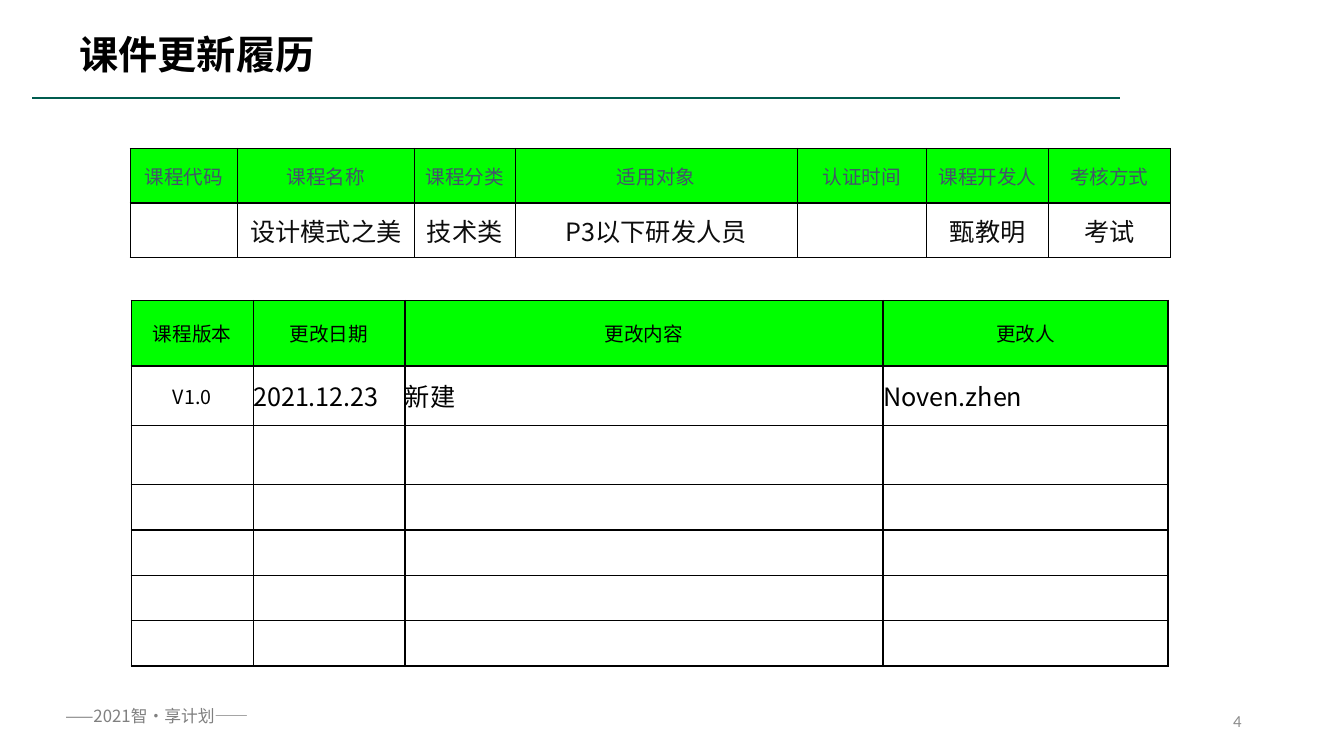
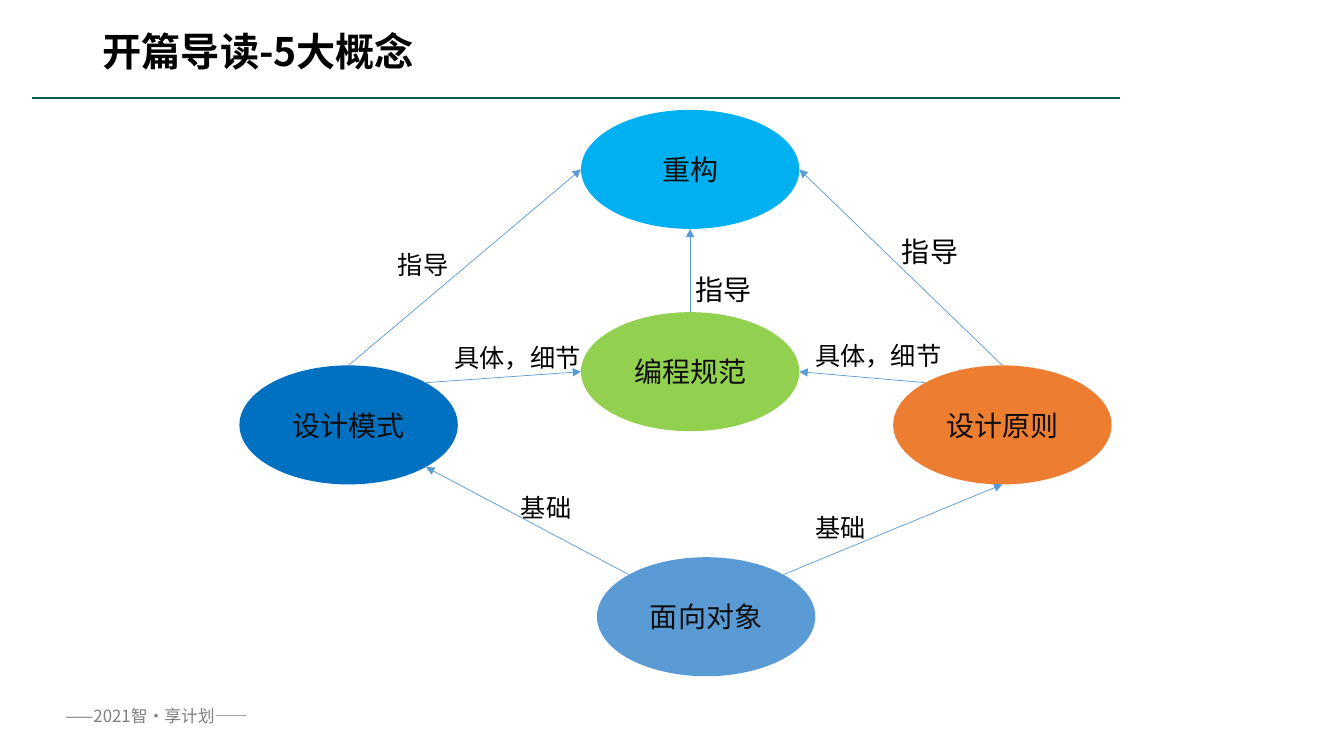
from dataclasses import dataclass
from lxml.etree import SubElement
from pptx import Presentation
from pptx.dml.color import RGBColor
from pptx.enum.shapes import MSO_CONNECTOR, MSO_SHAPE
from pptx.enum.text import MSO_ANCHOR, PP_ALIGN
from pptx.oxml import parse_xml
from pptx.oxml.ns import nsdecls, qn
from pptx.util import Pt


@dataclass(frozen=True)
class Theme:
    # Fonts
    cjk: str = "Noto Sans CJK SC"
    latin: str = "Arial"
    number: str = "Calibri"
    # Type sizes
    title: float = 28
    node: float = 20
    body: float = 18
    head: float = 14
    small: float = 12
    # Colours
    black: str = "000000"
    ink: str = "0D0D0D"
    slate: str = "44546A"
    footer: str = "808080"
    page: str = "8C8C8C"
    rule: str = "005C4F"
    header: str = "00FF00"
    blue: str = "5B9BD5"
    navy: str = "0070C0"
    green: str = "92D050"
    orange: str = "ED7D31"
    sky: str = "00B0F0"


T = Theme()
NODE_W, NODE_H = 156, 85
# Connection sites of an ellipse: index, then x and y as shares of the half axes
SITES = {"top": (0, 0, -1), "left": (2, -1, 0), "bottom": (4, 0, 1), "right": (6, 1, 0),
         "top left": (1, -0.71, -0.71), "bottom right": (5, 0.71, 0.71),
         "top right": (7, 0.71, -0.71)}


def rgb(color):
    return RGBColor.from_string(color)


# Text
def write(tf, text, size, color=T.black, font=T.cjk, bold=False,
          align=PP_ALIGN.LEFT, spacing=None):
    p = tf.paragraphs[0]
    p.text = text
    p.alignment = align
    p.line_spacing = spacing
    f = p.font
    f.size, f.name, f.bold = Pt(size), font, bold
    f.color.rgb = rgb(color)
    defaults = p._p.pPr.find(qn("a:defRPr"))
    SubElement(defaults, qn("a:ea")).set("typeface", T.cjk)


def add_text(slide, box, text, size, wrap=True, anchor=MSO_ANCHOR.TOP, **style):
    tf = slide.shapes.add_textbox(*map(Pt, box)).text_frame
    tf.word_wrap = wrap
    tf.vertical_anchor = anchor
    write(tf, text, size, **style)


# Lines
def add_line(slide, start, end, color, width):
    c = slide.shapes.add_connector(MSO_CONNECTOR.STRAIGHT, *map(Pt, (*start, *end)))
    c.line.color.rgb = rgb(color)
    c.line.width = Pt(width)
    SubElement(c._element.spPr, qn("a:effectLst"))
    return c


def site_point(sp, site):
    _, dx, dy = SITES[site]
    return (sp.left.pt + NODE_W / 2 * (1 + dx), sp.top.pt + NODE_H / 2 * (1 + dy))


def add_arrow(slide, source, source_site, target, target_site):
    c = add_line(slide, site_point(source, source_site),
                 site_point(target, target_site), T.blue, 0.5)
    SubElement(c.line._get_or_add_ln(), qn("a:tailEnd")).set("type", "triangle")
    links = c._element.nvCxnSpPr.cNvCxnSpPr
    for tag, sp, site in (("a:stCxn", source, source_site), ("a:endCxn", target, target_site)):
        link = SubElement(links, qn(tag))
        link.set("id", str(sp.shape_id))
        link.set("idx", str(SITES[site][0]))


# Diagram parts
def add_node(slide, left, top, text, color):
    sp = slide.shapes.add_shape(MSO_SHAPE.OVAL, *map(Pt, (left, top, NODE_W, NODE_H)))
    sp.shadow.inherit = False
    sp.fill.solid()
    sp.fill.fore_color.rgb = rgb(color)
    sp.line.fill.background()
    sp.text_frame.vertical_anchor = MSO_ANCHOR.MIDDLE
    write(sp.text_frame, text, T.node, T.ink, align=PP_ALIGN.CENTER)
    return sp


def add_label(slide, left, top, text, size=T.body):
    box = (left, top, len(text) * size + 14.4, size * 1.95)
    add_text(slide, box, text, size, wrap=False, font=T.latin, spacing=1.3)


# Tables
def add_borders(cell):
    tcPr = cell._tc.get_or_add_tcPr()
    for i, side in enumerate("LRTB"):
        tcPr.insert(i, parse_xml(
            f'<a:ln{side} {nsdecls("a")} w="{Pt(1)}"><a:solidFill>'
            f'<a:srgbClr val="{T.black}"/></a:solidFill></a:ln{side}>'))


def add_grid(slide, left, top, widths, heights, rows, style):
    """Fill a table; style(row, column) gives the text settings of a cell."""
    size = (sum(widths), sum(heights))
    table = slide.shapes.add_table(len(heights), len(widths),
                                   *map(Pt, (left, top, *size))).table
    table.first_row = table.horz_banding = False
    for col, w in zip(table.columns, widths):
        col.width = Pt(w)
    for r, h in enumerate(heights):
        table.rows[r].height = Pt(h)
        for c in range(len(widths)):
            cell = table.cell(r, c)
            cell.margin_left = cell.margin_right = cell.margin_top = cell.margin_bottom = 0
            cell.vertical_anchor = MSO_ANCHOR.MIDDLE
            if r == 0:
                cell.fill.solid()
                cell.fill.fore_color.rgb = rgb(T.header)
            else:
                cell.fill.background()
            add_borders(cell)
            if r < len(rows) and rows[r][c]:
                write(cell.text_frame, rows[r][c], **style(r, c))


def course_style(r, c):
    size, color = (T.head, T.slate) if r == 0 else (T.body, T.ink)
    return dict(size=size, color=color, align=PP_ALIGN.CENTER)


def history_style(r, c):
    if r == 0 or c == 0:
        return dict(size=T.head, align=PP_ALIGN.CENTER)
    return dict(size=T.body)


# Slides
def add_slide(prs, title, title_box):
    slide = prs.slides.add_slide(prs.slide_layouts[6])
    add_line(slide, (23, 70), (800, 70), T.rule, 2)
    add_text(slide, (39.6, 500.4, 147, 21.6), "——2021智·享计划——", T.small, color=T.footer)
    add_text(slide, title_box, title, T.title, anchor=MSO_ANCHOR.MIDDLE,
             bold=True, spacing=0.9)
    return slide


def history_slide(prs):
    slide = add_slide(prs, "课件更新履历", (49.7, 13.7, 828, 54))
    add_text(slide, (678, 500.4, 216, 28.8), "4", T.small, anchor=MSO_ANCHOR.MIDDLE,
             color=T.page, font=T.number, align=PP_ALIGN.RIGHT)
    add_grid(slide, 93.8, 214.6, (87, 108.5, 341.5, 203.5), (46.8, 42.4, 42.4, *[32.4] * 4),
             [("课程版本", "更改日期", "更改内容", "更改人"),
              ("V1.0", "2021.12.23", "新建", "Noven.zhen")], history_style)
    add_grid(slide, 93, 106, (76.5, 126.5, 72, 201.5, 92.5, 87, 87), (39, 39),
             [("课程代码", "课程名称", "课程分类", "适用对象", "认证时间", "课程开发人", "考核方式"),
              ("", "设计模式之美", "技术类", "P3以下研发人员", "", "甄教明", "考试")], course_style)


def concepts_slide(prs):
    slide = add_slide(prs, "开篇导读-5大概念", (66.2, 10.8, 639.4, 55.4))
    objects = add_node(slide, 426.4, 398, "面向对象", T.blue)
    patterns = add_node(slide, 171, 261, "设计模式", T.navy)
    coding = add_node(slide, 415, 223, "编程规范", T.green)
    principles = add_node(slide, 638, 261, "设计原则", T.orange)
    refactoring = add_node(slide, 415, 78.5, "重构", T.sky)

    for arrow in ((objects, "top right", principles, "bottom"),
                  (objects, "top left", patterns, "bottom right"),
                  (principles, "top left", coding, "right"),
                  (patterns, "top right", coding, "left"),
                  (coding, "top", refactoring, "bottom"),
                  (principles, "top", refactoring, "right"),
                  (patterns, "top", refactoring, "left")):
        add_arrow(slide, *arrow)

    for label in ((575.3, 355.7, "基础"), (365, 342, "基础"),
                  (277.2, 167.8, "指导"),
                  (317.5, 234.7, "具体，细节"), (575.3, 233.3, "具体，细节"),
                  (489.6, 183.6, "指导", T.node), (637.2, 157, "指导", T.node)):
        add_label(slide, *label)


def main():
    prs = Presentation()
    prs.slide_width, prs.slide_height = Pt(960), Pt(540)
    history_slide(prs)
    concepts_slide(prs)
    prs.save("out.pptx")


if __name__ == "__main__":
    main()
